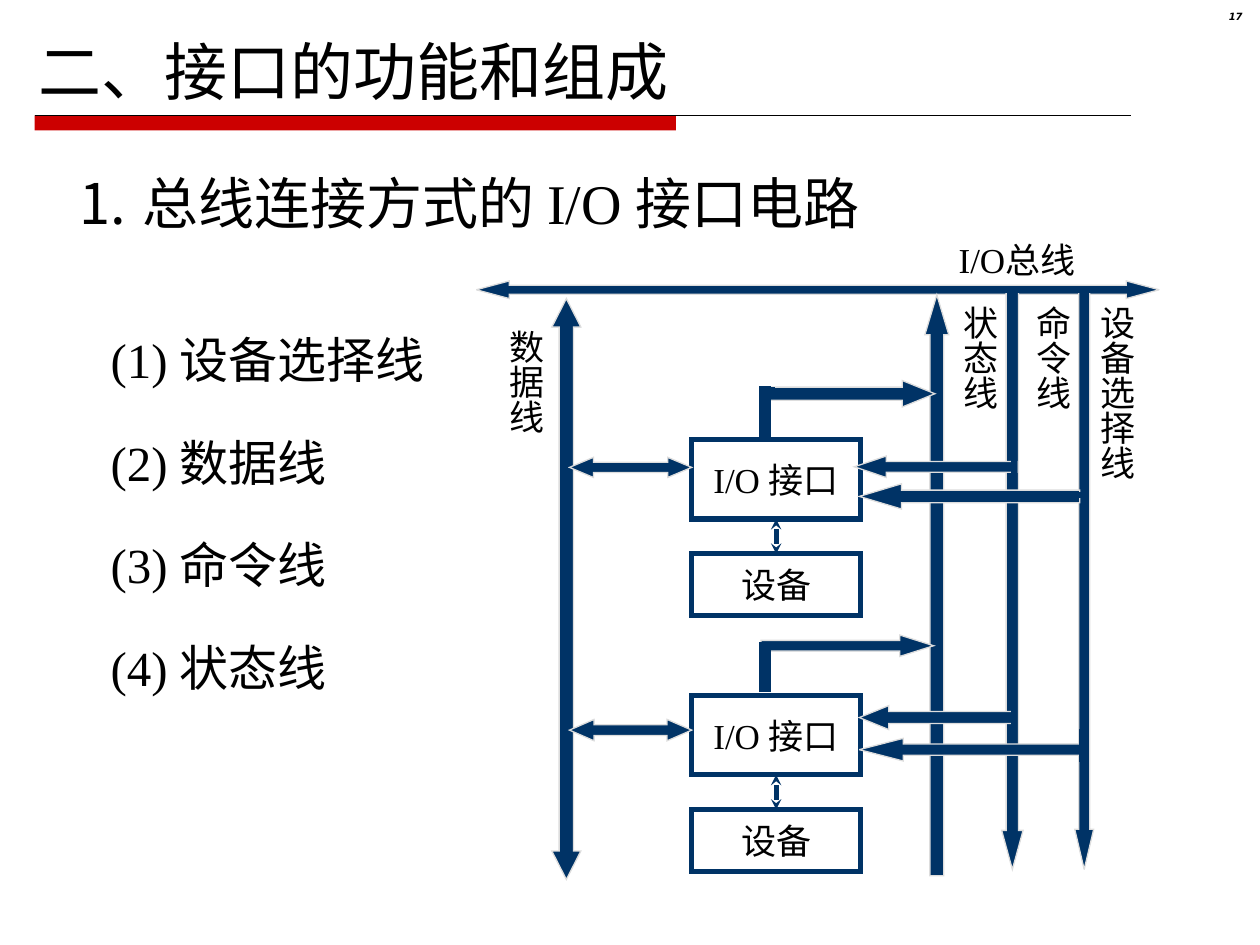
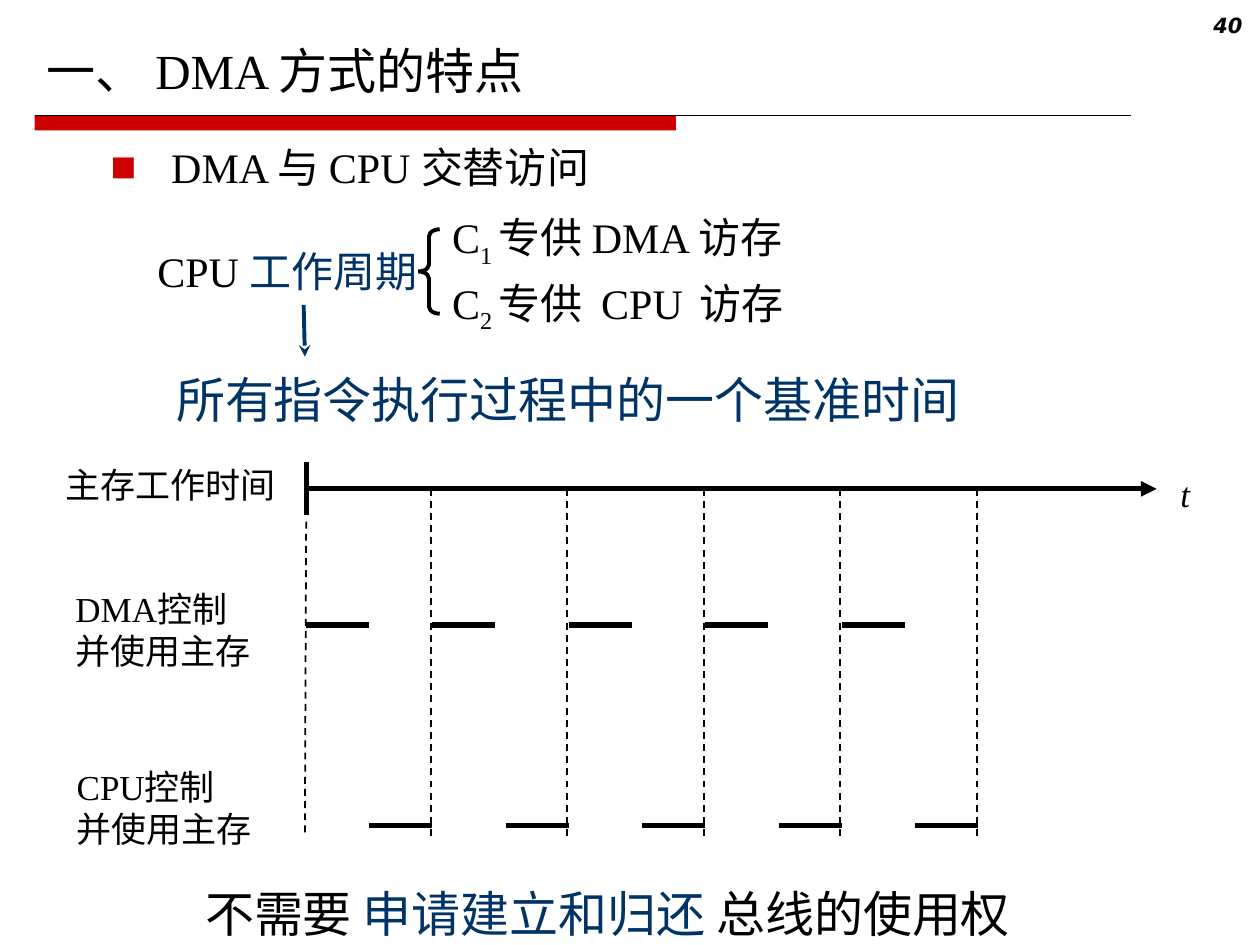
from dataclasses import dataclass
from typing import Any

import pptx
import pptx.dml.color
import pptx.enum.dml
import pptx.enum.shapes
import pptx.enum.text
import pptx.oxml.ns
import pptx.util
from lxml import etree

RGBColor = pptx.dml.color.RGBColor
Preset = pptx.enum.shapes.MSO_SHAPE
Align = pptx.enum.text.PP_ALIGN
Anchor = pptx.enum.text.MSO_ANCHOR

BLACK = RGBColor(0x00, 0x00, 0x00)
NAVY = RGBColor(0x00, 0x33, 0x66)
RED = RGBColor(0xCC, 0x00, 0x00)
PALE = RGBColor(0xDD, 0xDD, 0xDD)
SERIF = "Times New Roman"
SANS = "DejaVu Sans"

WIDTH = pptx.util.Inches(10)
HEIGHT = pptx.util.Inches(7.5)
COLUMN = WIDTH / 100
ROW = HEIGHT / 75


@dataclass
class Region:
    """A part of a slide; its parts are placed in columns and rows from its corner."""

    slide: Any
    left: float = 0
    top: float = 0

    def point(self, x, y):
        """Turn a grid position into slide lengths."""
        return round((self.left + x) * COLUMN), round((self.top + y) * ROW)

    def box(self, x, y, width, height):
        """Turn a grid box into slide lengths."""
        return *self.point(x, y), round(width * COLUMN), round(height * ROW)


def add_child(parent, tag, **attributes):
    """Append a DrawingML element to its parent."""
    return etree.SubElement(parent, pptx.oxml.ns.qn(f"a:{tag}"), attributes)


def add_bullet(paragraph, kind, colour, margin, hanging, percent, **attributes):
    """Give a paragraph a hanging bullet or number."""
    properties = paragraph._p.get_or_add_pPr()
    properties.set("marL", str(round(margin * COLUMN)))
    properties.set("indent", str(-round(hanging * COLUMN)))
    add_child(add_child(properties, "buClr"), "srgbClr", val=str(colour))
    add_child(properties, "buSzPct", val=str(percent * 1000))
    add_child(properties, "buFont", typeface=SANS)
    add_child(properties, kind, **attributes)


def style_paragraph(paragraph, size, colour=BLACK, font=SERIF, bold=False, italic=False):
    """Set the font that all runs of a paragraph share."""
    paragraph.font.name = font
    paragraph.font.size = pptx.util.Pt(size)
    paragraph.font.color.rgb = colour
    paragraph.font.bold = bold
    paragraph.font.italic = italic


def add_text(region, box, lines, size, wrap=False, grow=True, vertical=False, bullet=None, **style):
    """Place a text box with one paragraph for each line and return it."""
    label = region.slide.shapes.add_textbox(*region.box(*box))
    frame = label.text_frame
    frame.word_wrap = wrap
    if grow:
        frame.auto_size = pptx.enum.text.MSO_AUTO_SIZE.SHAPE_TO_FIT_TEXT
    if vertical:
        frame._txBody.bodyPr.set("vert", "eaVert")
        frame.margin_left = frame.margin_right = pptx.util.Inches(0.05)
        frame.margin_top = frame.margin_bottom = pptx.util.Inches(0.1)
    frame.text = lines
    for paragraph in frame.paragraphs:
        if bullet:
            add_bullet(paragraph, **bullet)
        style_paragraph(paragraph, size, **style)
    return label


def add_run(label, text, colour=None, size=None, baseline=None):
    """Append a run that departs from its paragraph's font."""
    run = label.text_frame.paragraphs[0].add_run()
    run.text = text
    if colour is not None:
        run.font.color.rgb = colour
    if size:
        run.font.size = pptx.util.Pt(size)
    if baseline:
        run._r.get_or_add_rPr().set("baseline", str(baseline * 1000))


def add_preset(region, preset, box, fill=NAVY, line=PALE, weight=0.75, adjust=()):
    """Place a preset shape and return it."""
    part = region.slide.shapes.add_shape(preset, *region.box(*box))
    part.shadow.inherit = False
    if fill is None:
        part.fill.background()
    else:
        part.fill.solid()
        part.fill.fore_color.rgb = fill
    if line is None:
        part.line.fill.background()
    else:
        part.line.color.rgb = line
        part.line.width = pptx.util.Pt(weight)
        add_child(part.line._get_or_add_ln(), "miter", lim="800000")
    for index, value in enumerate(adjust):
        part.adjustments[index] = value
    return part


def add_line(region, start, end, colour=BLACK, weight=3, dashed=False,
             head=None, tail=None, tip="med"):
    """Place a straight connector and return it."""
    line = region.slide.shapes.add_connector(
        pptx.enum.shapes.MSO_CONNECTOR.STRAIGHT, *region.point(*start), *region.point(*end))
    line.line.color.rgb = colour
    line.line.width = pptx.util.Pt(weight)
    if dashed:
        line.line.dash_style = pptx.enum.dml.MSO_LINE.DASH
    for end_tag, arrowhead in (("headEnd", head), ("tailEnd", tail)):
        if arrowhead:
            add_child(line.line._get_or_add_ln(), end_tag, type=arrowhead, w=tip, len=tip)
    add_child(line._element.spPr, "effectLst")
    return line


def add_frame(page, number, number_size, spacing=None):
    """Draw the title band and the page number."""
    add_preset(page, Preset.RECTANGLE, (2.75, 9.15, 50.9, 1.2), fill=RED, line=None)
    add_line(page, (2.75, 9.15), (89.8, 9.15), weight=0.75)
    page_number = add_text(page, (93.7, 0.5, 5.9, 2.3), number, number_size, wrap=True,
                           grow=False, font=SANS, bold=True, italic=True)
    paragraph = page_number.text_frame.paragraphs[0]
    paragraph.alignment = Align.RIGHT
    if spacing:
        paragraph.line_spacing = spacing


def add_line_list(region):
    """List the four kinds of bus line."""
    names = ("设备选择线", "数据线", "命令线", "状态线")
    for index, name in enumerate(names):
        add_text(region, (0, 8.13 * index, 30, 5.7), f"({index + 1}) {name}", 28)


def add_labelled_box(region, box, label):
    """Draw an outlined box with a centred label and return it."""
    part = add_preset(region, Preset.RECTANGLE, box, fill=None, line=NAVY, weight=3)
    part.text_frame.word_wrap = False
    part.text_frame.vertical_anchor = Anchor.MIDDLE
    part.text_frame.text = label
    paragraph = part.text_frame.paragraphs[0]
    paragraph.alignment = Align.CENTER
    style_paragraph(paragraph, 20)
    return part


def add_interface_unit(region, arrows, joints):
    """Draw an interface, its device and its branches to the bus lines."""
    interface = add_labelled_box(region, (9.7, 0, 13.4, 6.3), "I/O 接口")
    device = add_labelled_box(region, (9.7, 9.05, 13.4, 4.9), "设备")
    link = add_line(region, (16.4, 9.05), (16.4, 6.3), NAVY,
                    head="stealth", tail="stealth", tip="sm")
    link.begin_connect(device, 0)
    link.end_connect(interface, 2)
    for preset, box, head_length in arrows:
        add_preset(region, preset, box, adjust=(0.5, head_length))
    add_preset(region, Preset.RECTANGLE, (15.1, -4.2, 0.85, 3.9), line=NAVY)
    for joint in joints:
        add_preset(region, Preset.RECTANGLE, joint, line=NAVY)


def add_bus_diagram(region):
    """Draw the bus, its vertical lines, their labels and two interface units."""
    slide, left, top = region.slide, region.left, region.top
    add_preset(region, Preset.LEFT_RIGHT_ARROW, (0, 3.9, 54.2, 1.4), adjust=(0.5, 1.87))
    data_line = add_preset(region, Preset.LEFT_RIGHT_ARROW, (-15.9, 27.2, 46.1, 2.3),
                           adjust=(0.5, 0.98))
    data_line.rotation = 90
    for preset, x, y, width, head_length in (
            (Preset.UP_ARROW, 35.6, 5, 1.9, 1.67),
            (Preset.DOWN_ARROW, 41.7, 4.5, 1.7, 1.82),
            (Preset.DOWN_ARROW, 47.5, 4.5, 1.5, 2.12)):
        add_preset(region, preset, (x, y, width, 46.1), adjust=(0.58, head_length))

    add_interface_unit(
        Region(slide, left + 7.4, top + 16.5),
        ((Preset.LEFT_ARROW, (22.6, 1.3, 12.9, 1.7), 1.49),
         (Preset.LEFT_ARROW, (23, 3.5, 17.5, 2), 1.67),
         (Preset.RIGHT_ARROW, (15.6, -4.7, 13.4, 2.1), 1.23),
         (Preset.LEFT_RIGHT_ARROW, (0, 1.4, 9.7, 1.6), 1.19)),
        ((35.1, 1.3, 0.4, 1.7), (40.1, 4.2, 0.8, 0.4), (15.9, -4.1, 0.4, 0.4)))
    add_interface_unit(
        Region(slide, left + 7.4, top + 36.8),
        ((Preset.LEFT_ARROW, (23, 0.8, 12.3, 1.9), 1.23),
         (Preset.LEFT_ARROW, (23, 3.4, 17.7, 1.8), 1.94),
         (Preset.RIGHT_ARROW, (15.2, -4.8, 13.7, 1.7), 1.58),
         (Preset.LEFT_RIGHT_ARROW, (0, 1.9, 9.7, 1.7), 1.15)),
        ((35.1, 0.2, 0.4, 2.5), (40.5, 2.7, 0.4, 2.5)))

    for x in (41.7, 47.5):
        add_preset(region, Preset.RECTANGLE, (x, 4.4, 1.7, 0.4), line=NAVY)
    for name, x, y, height in (("数据线", 0.8, 6.75, 9.4), ("状态线", 36.8, 4.85, 9.4),
                               ("命令线", 42.6, 4.85, 9.4), ("设备选择线", 47.7, 4.85, 14.9)):
        add_text(region, (x, y, 5.3, height), name, 20, vertical=True)
    add_text(region, (37.3, 0, 14, 4.4), "I/O总线", 20)


def add_cycle_split(region):
    """Explain how the working cycle is split between DMA and CPU."""
    cycle = add_text(region, (0, 2.7, 25.2, 5), "CPU ", 24, wrap=True)
    add_run(cycle, "工作周期", NAVY)
    add_preset(region, Preset.LEFT_BRACE, (21.7, 1.9, 1.7, 6.7), fill=None, line=BLACK,
               weight=2.25, adjust=(0.33, 0.5))
    first = add_text(region, (23.4, 0, 44.2, 5.6), "C", 24, wrap=True)
    add_run(first, "1 ", baseline=-25)
    add_run(first, "专供 DMA 访存")
    second = add_text(region, (23.4, 5.2, 38.3, 5.6), "C", 24, wrap=True)
    add_run(second, "2 ", baseline=-25)
    add_run(second, "专供  CPU ")
    add_run(second, " ", size=14)
    add_run(second, "访存")
    add_line(region, (12.6, 7.9), (12.7, 12), NAVY, 2.25, tail="stealth")
    add_text(region, (1.5, 12.5, 76, 5.7), "所有指令执行过程中的一个基准时间", 28,
             wrap=True, colour=NAVY)


def add_timeline(region):
    """Draw the memory time axis and the alternating DMA and CPU slots."""
    origin, axis, slot, period = 20.1, 2.5, 5, 10.83
    add_text(region, (0, 0, 18.7, 4.4), "主存工作时间", 20)
    add_text(region, (0.8, 9.8, 15.9, 7.7), "DMA控制\n并使用主存", 20)
    add_text(region, (0.9, 24, 15.9, 7.7), "CPU控制\n并使用主存", 20)
    add_text(region, (88.5, 0.7, 2.7, 4.4), "t", 20, italic=True)
    add_line(region, (origin, 0.4), (origin, 4.6))
    add_line(region, (origin, axis), (87.6, axis), tail="triangle")
    add_line(region, (origin, 5.1), (origin - 0.1, 29.9), weight=1, dashed=True)
    for index in range(5):
        dma = origin + (10 + period * (index - 1) if index else 0)
        cpu = origin + slot + period * index
        boundary = origin + 9.9 + period * index
        add_line(region, (dma, 13.3), (dma + slot, 13.3))
        add_line(region, (cpu, 29.2), (cpu + slot, 29.2))
        add_line(region, (boundary, axis), (boundary, 30.1), weight=1, dashed=True)


def build_interface_slide(slide):
    """Build the slide on bus-connected interfaces."""
    page = Region(slide)
    add_frame(page, "17", 5.7, spacing=0.8)
    add_text(page, (2.1, 2.1, 52, 7), "二、接口的功能和组成", 36)
    add_line_list(Region(slide, 7.8, 25.7))
    add_bus_diagram(Region(slide, 37.8, 18.4))
    numbering = dict(kind="buAutoNum", colour=BLACK, margin=5, hanging=5, percent=100,
                     type="arabicPeriod")
    add_text(page, (5.3, 12.9, 66.7, 6.4), "总线连接方式的 I/O 接口电路", 32, wrap=True,
             bullet=numbering)


def build_dma_slide(slide):
    """Build the slide on alternating DMA and CPU access."""
    page = Region(slide)
    add_frame(page, "40", 12)
    title = add_text(page, (2.7, 1.3, 94.5, 7.1), "一、 DMA 方式的特点", 28, wrap=True, grow=False)
    title.text_frame.vertical_anchor = Anchor.BOTTOM
    square = dict(kind="buChar", colour=RED, margin=9.9, hanging=4.8, percent=65, char="■")
    add_text(page, (2.7, 10.7, 94.5, 62.2), "DMA 与 CPU 交替访问", 24, wrap=True, grow=False,
             bullet=square)
    add_cycle_split(Region(slide, 11.5, 16.3))
    add_timeline(Region(slide, 4.2, 36.3))
    conclusion = add_text(page, (15.3, 69.6, 80.3, 5.7), "不需要 ", 28, wrap=True)
    add_run(conclusion, "申请建立和归还 ", NAVY)
    add_run(conclusion, "总线的使用权")


def main():
    """Build and save the presentation."""
    deck = pptx.Presentation()
    deck.slide_width, deck.slide_height = WIDTH, HEIGHT
    blank = deck.slide_layouts[6]
    for build in (build_interface_slide, build_dma_slide):
        build(deck.slides.add_slide(blank))
    deck.save("out.pptx")


if __name__ == "__main__":
    main()
